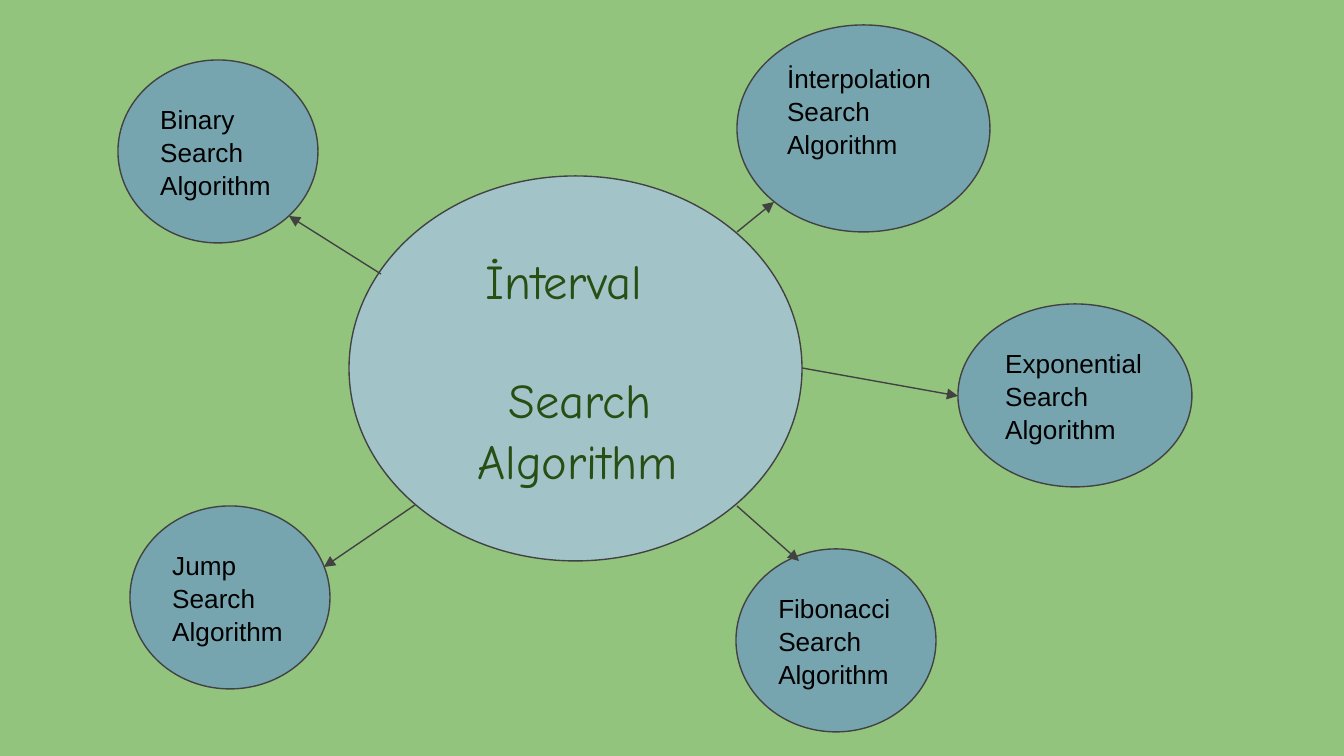
from lxml import etree
from pptx import Presentation
from pptx import util as u
from pptx.dml.color import RGBColor
from pptx.enum import shapes, text
from pptx.oxml import ns

SCALE = 914400 / 134.4  # EMU in one px
COLORS = {
    "background": "93C47D",
    "hub": "A2C4C9",
    "node": "76A5AF",
    "outline": "424242",
    "hub_text": "274E13",
    "node_text": "000000",
}


def px(length):
    return u.Emu(round(length * SCALE))


def color(name):
    return RGBColor.from_string(COLORS[name])


class MindMap:
    """Holds the style and the current slide."""

    inset = 13
    line_width = u.Pt(0.75)
    line_spacing = 1.05

    def __init__(self, deck):
        self.slide = deck.slides.add_slide(deck.slide_layouts[6])
        fill = self.slide.background.fill
        fill.solid()
        fill.fore_color.rgb = color("background")

    def outline(self, line):
        line.color.rgb = color("outline")
        line.width = self.line_width

    def ellipse(self, left, top, width, height, fill, lift=0):
        """Draw an ellipse; lift is extra room kept free under its text."""
        shape = self.slide.shapes.add_shape(
            shapes.MSO_SHAPE.OVAL, px(left), px(top), px(width), px(height))
        shape.shadow.inherit = False
        shape.fill.solid()
        shape.fill.fore_color.rgb = color(fill)
        self.outline(shape.line)
        frame = shape.text_frame
        frame.word_wrap = True
        frame.vertical_anchor = text.MSO_ANCHOR.MIDDLE
        frame.margin_left = frame.margin_right = px(self.inset)
        frame.margin_top = px(self.inset)
        frame.margin_bottom = px(self.inset + lift)
        return frame

    def line(self, frame, index, words, font, size, fill, indent=0, before=0):
        """Write one line of text as its own paragraph."""
        para = frame.paragraphs[0] if index == 0 else frame.add_paragraph()
        para.alignment = text.PP_ALIGN.LEFT
        para.line_spacing = self.line_spacing
        para.space_before = px(before)
        para._p.get_or_add_pPr().set("marL", str(px(indent)))
        span = para.add_run()
        span.text = words
        span.font.name = font
        span.font.size = u.Pt(size)
        span.font.color.rgb = color(fill)

    def hub(self, place, lines):
        frame = self.ellipse(*place, "hub")
        for index, (words, indent, before) in enumerate(lines):
            self.line(frame, index, words, "Comic Neue", 26, "hub_text", indent, before)

    def node(self, name, place, lift=0):
        frame = self.ellipse(*place, "node", lift)
        for index, words in enumerate((name, "Search", "Algorithm")):
            self.line(frame, index, words, "Arial", 14, "node_text")

    def arrow(self, start, end):
        connector = self.slide.shapes.add_connector(
            shapes.MSO_CONNECTOR.STRAIGHT, *map(px, start + end))
        self.outline(connector.line)
        etree.SubElement(connector.line._get_or_add_ln(), ns.qn("a:tailEnd"), type="triangle")
        etree.SubElement(connector._element.spPr, ns.qn("a:effectLst"))


# Words, indent and space before each line in the middle
HUB_LINES = [("İnterval", 57, 0), ("Search", 80, 58), ("Algorithm", 49, 0)]

# Name, place, and room under the text
NODES = [
    ("İnterpolation", (737, 25, 253, 207), 36),
    ("Fibonacci", (736, 549, 200, 183), 0),
    ("Jump", (130, 506, 200, 183), 0),
    ("Exponential", (958, 304, 234, 183), 0),
    ("Binary", (118, 60, 200, 183), 0),
]

ARROWS = [
    ((381, 274), (289, 216)),
    ((737, 232), (774, 202)),
    ((802, 368), (958, 396)),
    ((415, 505), (324, 567)),
    ((737, 506), (799, 561)),
]


def main():
    deck = Presentation()
    deck.slide_width, deck.slide_height = px(1344), px(756)
    page = MindMap(deck)

    # Central topic
    page.hub((349, 176, 453, 385), HUB_LINES)

    # Algorithms around it
    for name, place, lift in NODES:
        page.node(name, place, lift)

    # Arrows from the centre outwards
    for start, end in ARROWS:
        page.arrow(start, end)

    deck.save("out.pptx")


if __name__ == "__main__":
    main()
